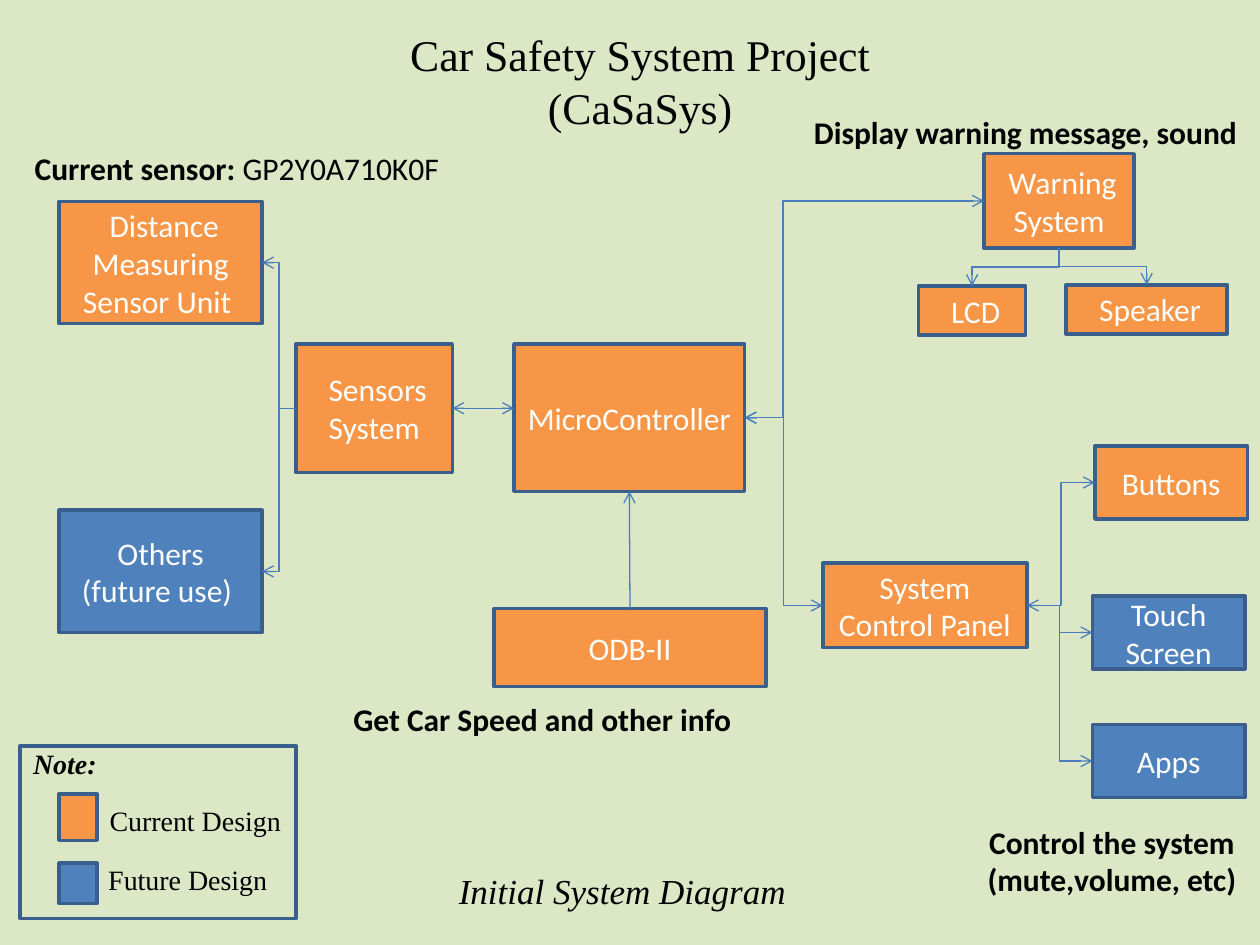
from pptx import Presentation
from pptx.util import Inches, Pt
from pptx.dml.color import RGBColor
from pptx.enum.shapes import MSO_SHAPE, MSO_CONNECTOR as CONN
from pptx.enum.text import PP_ALIGN, MSO_ANCHOR, MSO_AUTO_SIZE
from pptx.oxml.ns import qn
from lxml.etree import SubElement

ORANGE, BLUE, EDGE, LINE = "F79646", "4F81BD", "3A5F8C", "4B7EBC"
TOP, LEFT, BOTTOM, RIGHT = range(4)
SERIF = "Times New Roman"


def rgb(value):
    """Turn a hex string into a colour."""
    return RGBColor.from_string(value)


def add_box(x, y, w, h, fill=None, text=""):
    """Add an outlined rectangle, with white centred text if given."""
    sp = s.shapes.add_shape(MSO_SHAPE.RECTANGLE, Inches(x), Inches(y), Inches(w), Inches(h))
    sp.shadow.inherit = False
    sp.line.color.rgb, sp.line.width = rgb(EDGE), Pt(2)
    if fill:
        sp.fill.solid()
        sp.fill.fore_color.rgb = rgb(fill)
    else:
        sp.fill.background()
    if text:
        tf = sp.text_frame
        tf.text, tf.word_wrap, tf.vertical_anchor = text, True, MSO_ANCHOR.MIDDLE
        p = tf.paragraphs[0]
        p.alignment = PP_ALIGN.CENTER
        p.font.size, p.font.name, p.font.color.rgb = Pt(18), "Calibri", rgb("FFFFFF")
    return sp


prs = Presentation()
prs.slide_width, prs.slide_height = Inches(10), Inches(7.5)
s = prs.slides.add_slide(prs.slide_layouts[5])
s.background.fill.solid()
s.background.fill.fore_color.rgb = rgb("DCE7C5")

title = s.shapes.title
title.left, title.top, title.width, title.height = map(Inches, (3.13, 0.17, 3.9, 0.94))
tf = title.text_frame
tf.text, tf.auto_size = "Car Safety System Project\n(CaSaSys)", MSO_AUTO_SIZE.NONE
for p in tf.paragraphs:
    p.alignment = PP_ALIGN.CENTER
    p.font.size, p.font.name, p.font.color.rgb = Pt(25), SERIF, rgb("000000")

# Blocks of the diagram
blocks = {
    "micro": (4.08, 2.73, 1.83, 1.17, ORANGE, "MicroController"),
    "distance": (0.47, 1.6, 1.61, 0.97, ORANGE, "\u00a0Distance Measuring Sensor Unit\u00a0"),
    "odb": (3.92, 4.83, 2.16, 0.62, ORANGE, "ODB-II"),
    "warning": (7.81, 1.22, 1.19, 0.75, ORANGE, "\u00a0Warning System"),
    "panel": (6.53, 4.47, 1.62, 0.67, ORANGE, "System Control Panel"),
    "sensors": (2.35, 2.73, 1.24, 1.02, ORANGE, "\u00a0Sensors System"),
    "others": (0.47, 4.05, 1.61, 0.97, BLUE, "Others (future use)\u00a0"),
    "buttons": (8.69, 3.54, 1.21, 0.58, ORANGE, "Buttons"),
    "touch": (8.67, 4.73, 1.21, 0.58, BLUE, "Touch Screen"),
    "apps": (8.67, 5.75, 1.21, 0.58, BLUE, "Apps"),
    "lcd": (7.29, 2.27, 0.85, 0.39, ORANGE, "\u00a0LCD"),
    "speaker": (8.46, 2.26, 1.28, 0.39, ORANGE, "\u00a0Speaker"),
}
box = {name: add_box(*spec) for name, spec in blocks.items()}

# Links: from, side, to, side, arrows at both ends, position of the bend
links = [
    ("odb", TOP, "micro", BOTTOM, False, None),
    ("sensors", RIGHT, "micro", LEFT, True, None),
    ("micro", RIGHT, "panel", LEFT, True, 0.5),
    ("warning", LEFT, "micro", RIGHT, True, 0.84),
    ("sensors", LEFT, "distance", RIGHT, False, 0.5),
    ("sensors", LEFT, "others", RIGHT, False, 0.5),
    ("panel", RIGHT, "buttons", LEFT, True, 0.5),
    ("panel", RIGHT, "touch", LEFT, False, 0.5),
    ("panel", RIGHT, "apps", LEFT, False, 0.5),
    ("warning", BOTTOM, "speaker", TOP, False, 0.5),
    ("warning", BOTTOM, "lcd", TOP, False, 0.5),
]
for start, side1, end, side2, both, bend in links:
    c = s.shapes.add_connector(CONN.ELBOW if bend else CONN.STRAIGHT, 0, 0, 0, 0)
    c.begin_connect(box[start], side1)
    if start == "sensors" and end == "micro":
        # Keeps the link level, as the two boxes differ in height
        c.end_x, c.end_y = box[end].left, c.begin_y
    else:
        c.end_connect(box[end], side2)
    c.line.color.rgb, c.line.width = rgb(LINE), Pt(0.75)
    spPr = c._element.spPr
    if bend:
        guides = spPr.find(qn("a:prstGeom")).get_or_add_avLst()
        SubElement(guides, qn("a:gd"), name="adj1", fmla=f"val {round(bend * 100000)}")
    if bend and side1 == BOTTOM:
        # A link that leaves downwards is a turned elbow
        x1, y1, x2, y2 = c.begin_x, c.begin_y, c.end_x, c.end_y
        w, h = abs(y2 - y1), abs(x2 - x1)
        c.left, c.top = (x1 + x2 - w) // 2, (y1 + y2 - h) // 2
        c.width, c.height = w, h
        to_right = x2 > x1
        spPr.xfrm.set("rot", "16200000" if to_right else "5400000")
        spPr.xfrm.set("flipH", "1" if to_right else "0")
    ln = c.line._get_or_add_ln()
    for tag in ("a:headEnd", "a:tailEnd") if both else ("a:tailEnd",):
        SubElement(ln, qn(tag), type="arrow")
    SubElement(spPr, qn("a:effectLst"))

# Legend
add_box(0.16, 5.92, 2.19, 1.37)
add_box(0.47, 6.3, 0.3, 0.37, ORANGE)
add_box(0.47, 6.85, 0.3, 0.32, BLUE)

# Labels: place, text, size, font, bold, italic
labels = [
    (2.69, 5.51, 3.23, 0.4, "Get Car Speed and other info", 18, "Calibri", True, False),
    (7.73, 6.48, 2.19, 0.71, "Control the system\n(mute,volume, etc)", 18, "Calibri", True, False),
    (6.35, 0.85, 3.58, 0.4, "Display warning message, sound", 18, "Calibri", True, False),
    (0.16, 1.13, 3.44, 0.4, "Current sensor: |GP2Y0A710K0F", 18, "Calibri", True, False),
    (3.53, 6.85, 2.82, 0.44, "Initial System Diagram", 20, SERIF, False, True),
    (0.75, 6.33, 1.6, 0.37, "Current Design", 16, SERIF, False, False),
    (0.75, 6.8, 1.48, 0.37, "Future Design", 16, SERIF, False, False),
    (0.16, 5.88, 0.71, 0.37, "Note:", 16, SERIF, True, True),
]
for x, y, w, h, text, size, font, bold, italic in labels:
    tf = s.shapes.add_textbox(Inches(x), Inches(y), Inches(w), Inches(h)).text_frame
    tf.word_wrap, tf.auto_size = False, MSO_AUTO_SIZE.SHAPE_TO_FIT_TEXT
    for i, row in enumerate(text.split("\n")):
        p = tf.add_paragraph() if i else tf.paragraphs[0]
        p.alignment = PP_ALIGN.CENTER
        p.font.size, p.font.name, p.font.color.rgb = Pt(size), font, rgb("000000")
        p.font.bold, p.font.italic = bold, italic
        for j, part in enumerate(row.split("|")):
            r = p.add_run()
            r.text = part
            if j:
                r.font.bold = False

prs.save("out.pptx")
